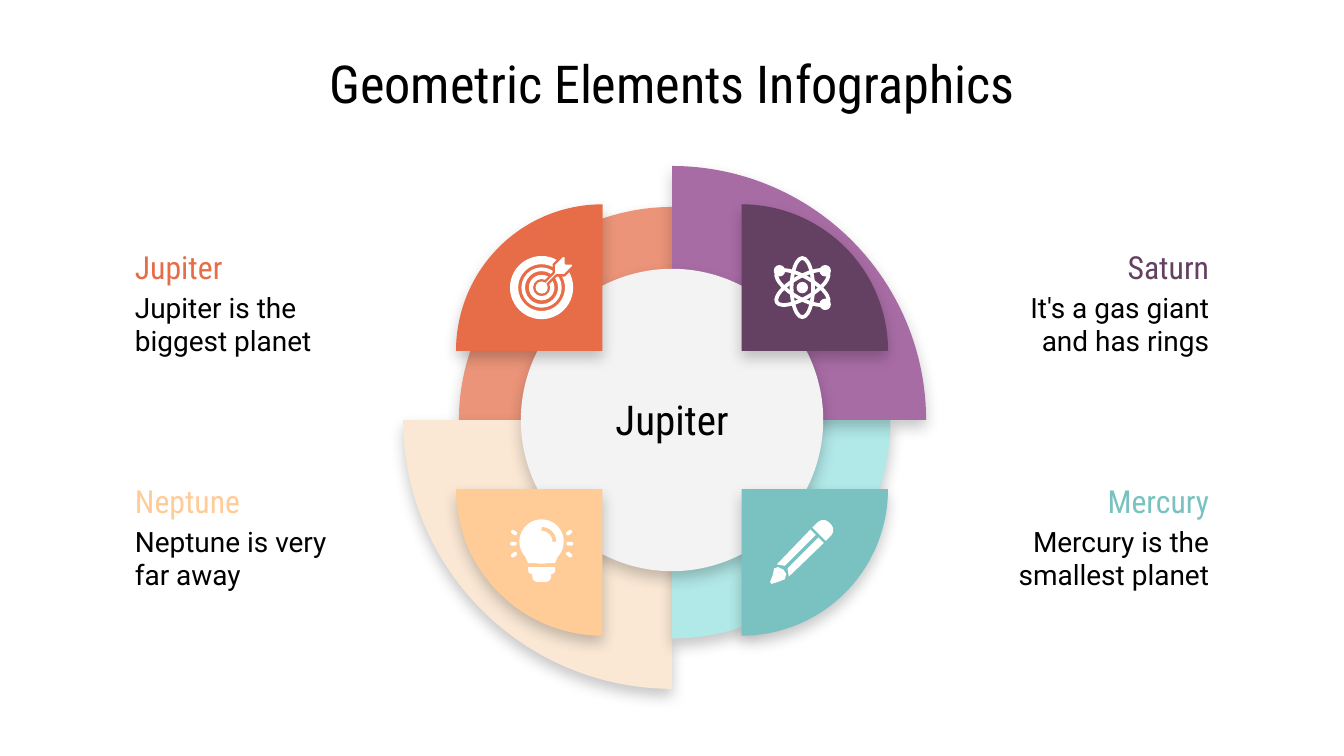
from lxml import etree
from pptx import Presentation
from pptx.dml.color import RGBColor
from pptx.enum.shapes import MSO_SHAPE
from pptx.enum.text import MSO_ANCHOR, MSO_AUTO_SIZE, PP_ALIGN
from pptx.oxml.ns import qn
from pptx.util import Inches, Pt

PIE, OVAL, DONUT = MSO_SHAPE.PIE, MSO_SHAPE.OVAL, MSO_SHAPE.DONUT
ARC, ROUNDED = MSO_SHAPE.ARC, MSO_SHAPE.ROUNDED_RECTANGLE
ROUND_TOP = MSO_SHAPE.ROUND_2_SAME_RECTANGLE
LEFT, CENTER, RIGHT = PP_ALIGN.LEFT, PP_ALIGN.CENTER, PP_ALIGN.RIGHT
TOP, MIDDLE = MSO_ANCHOR.TOP, MSO_ANCHOR.MIDDLE
NO_AUTOSIZE = MSO_AUTO_SIZE.NONE

COLORS = {
    "ink": "000000", "white": "FFFFFF", "hub": "F3F3F3",
    "orange": "E76D48", "orange_light": "EB9479",
    "plum": "644162", "plum_light": "A86CA5",
    "peach": "FFCC97", "peach_light": "FAE8D5",
    "teal": "79C2C1", "teal_light": "B1E9E8",
}
HEAD_FONT, BODY_FONT = "Roboto Condensed", "Roboto"
COLS, ROWS = 100, 56.25
CX, CY = 50, 31.25


class Deck:
    """Style and current slide, with lengths in cells of a 100-column grid."""

    def __init__(self):
        self.prs = Presentation()
        self.cell = Inches(10) // COLS
        self.prs.slide_width = self.u(COLS)
        self.prs.slide_height = self.u(ROWS)
        self.s = self.prs.slides.add_slide(self.prs.slide_layouts[5])

    def u(self, n):
        return round(n * self.cell)

    def color(self, name):
        return RGBColor.from_string(COLORS[name])

    def paint(self, sp, fill="white", line=None, width=1):
        sp.shadow.inherit = False
        if fill:
            sp.fill.solid()
            sp.fill.fore_color.rgb = self.color(fill)
        else:
            sp.fill.background()
        if line:
            sp.line.color.rgb = self.color(line)
            sp.line.width = Pt(width)
        else:
            sp.line.fill.background()
        return sp

    def shape(self, kind, cx, cy, w, h, fill="white", rot=0, adj=(), **line):
        sp = self.s.shapes.add_shape(
            kind, self.u(cx - w / 2), self.u(cy - h / 2), self.u(w), self.u(h))
        for i, value in enumerate(adj):
            sp.adjustments[i] = value
        sp.rotation = rot
        return self.paint(sp, fill, **line)

    def polygon(self, cx, cy, offsets, **style):
        points = [(self.u(cx + x), self.u(cy + y)) for x, y in offsets]
        builder = self.s.shapes.build_freeform(*points[0])
        builder.add_line_segments(points[1:], close=True)
        return self.paint(builder.convert_to_shape(), **style)

    def shadow(self, sp):
        effects = sp._element.spPr.find(qn("a:effectLst"))
        outer = etree.SubElement(effects, qn("a:outerShdw"), blurRad="100000",
                                 dist="48000", dir="5400000", rotWithShape="0")
        rgb = etree.SubElement(outer, qn("a:srgbClr"), val=COLORS["ink"])
        etree.SubElement(rgb, qn("a:alpha"), val="21000")

    def quadrant(self, cx, cy, size, fill, rot):
        self.shadow(self.shape(PIE, cx, cy, size, size, fill, rot, (108, 162)))

    def fill_text(self, sp, text, size, font, color, align, anchor):
        tf = sp.text_frame
        tf.word_wrap = True
        tf.auto_size = NO_AUTOSIZE
        tf.vertical_anchor = anchor
        tf.margin_left = tf.margin_right = self.u(1)
        tf.margin_top = tf.margin_bottom = self.u(1)
        p = tf.paragraphs[0]
        p.text = text
        p.alignment = align
        p.font.size = Pt(size)
        p.font.name = font
        p.font.color.rgb = self.color(color)

    def title(self, text, x, y, w, h):
        sp = self.s.shapes.title
        sp.left, sp.top, sp.width, sp.height = map(self.u, (x, y, w, h))
        self.fill_text(sp, text, 28, HEAD_FONT, "ink", CENTER, TOP)

    def text(self, text, x, y, w, h, size, font, color="ink", align=LEFT):
        sp = self.s.shapes.add_textbox(*map(self.u, (x, y, w, h)))
        self.fill_text(sp, text, size, font, color, align, MIDDLE)

    def target(self, cx, cy):
        for size, ring in ((4.7, 0.13), (3, 0.09), (1.9, 0.16)):
            self.shape(DONUT, cx, cy, size, size, adj=(ring,))
        arrow = ((1.6, -2.4), (0.9, -1.7), (0.9, -1.1), (0.1, -0.3), (0.3, -0.1),
                 (1.1, -0.9), (1.7, -0.9), (2.4, -1.6), (2.3, -1.8), (1.8, -1.8),
                 (1.8, -2.3))
        self.polygon(cx, cy, arrow, line="orange", width=1.25)
        self.shape(OVAL, cx, cy, 0.9, 0.9)

    def bulb(self, cx, cy):
        self.shape(OVAL, cx, cy, 3.3, 3.3)
        self.polygon(cx, cy, ((-1.2, 1.1), (1.2, 1.1), (1, 1.6), (-1, 1.6)))
        self.shape(ROUND_TOP, cx, cy + 2.15, 2, 0.5, rot=180, adj=(0.5,))
        self.shape(ROUND_TOP, cx, cy + 2.6, 1.4, 0.8, rot=180, adj=(0.5,))
        self.shape(ARC, cx, cy, 1.9, 1.9, None, line="peach", width=2)
        for side in (-1, 1):
            for step in (-1, 0, 1):
                self.shape(ROUNDED, cx + side * (2.1 - 0.05 * abs(step)),
                           cy + 0.15 + 0.82 * step, 0.5, 0.28,
                           rot=side * step * 35, adj=(0.5,))

    def pencil(self, cx, cy):
        self.shape(ROUND_TOP, cx + 1.65, cy - 1.75, 1.4, 1.15, rot=45, adj=(0.5, 0))
        parts = (
            ((0.6, -1.7), (-1.9, 0.9), (-1.3, 1), (1, -1.3)),
            ((1.2, -1.1), (-1.1, 1.2), (-1, 1.8), (1.6, -0.7)),
            ((-1.8, 1.1), (-2.1, 1.2), (-2.2, 1.7), (-2.4, 2.2), (-2.3, 2.35),
             (-1.8, 2.2), (-1.3, 2), (-1.2, 1.6), (-1.4, 1.3)),
        )
        for part in parts:
            self.polygon(cx, cy, part)

    def atom(self, cx, cy):
        for rot in (0, 60, 120):
            self.shape(OVAL, cx, cy, 1.6, 4.4, None, rot, line="white", width=2)
        for dx, dy in ((-1.7, -1.25), (1.7, -1.25), (1.7, 1.25), (0, 0)):
            self.shape(OVAL, cx + dx, cy + dy, 0.85, 0.85)


def main():
    deck = Deck()
    rings = (("orange_light", 31.7, 0), ("peach_light", 40, 270),
             ("teal_light", 32.5, 180), ("plum_light", 37.8, 90))
    for fill, size, rot in rings:
        deck.quadrant(CX, CY, size, fill, rot)
    deck.title("Geometric Elements Infographics", 3.95, 2.8, 92.1, 6.3)
    deck.shadow(deck.shape(OVAL, CX, CY, 22.5, 22.5, "hub"))

    planets = (
        ("Jupiter", "Jupiter is the biggest planet", "orange", -1, -1, 0, deck.target),
        ("Neptune", "Neptune is very far away", "peach", -1, 1, 270, deck.bulb),
        ("Mercury", "Mercury is the smallest planet", "teal", 1, 1, 180, deck.pencil),
        ("Saturn", "It's a gas giant and has rings", "plum", 1, -1, 90, deck.atom),
    )
    for name, fact, color, dx, dy, rot, icon in planets:
        deck.quadrant(CX + dx * 5.17, CY + dy * 5.15, 21.8, color, rot)
        icon(CX + dx * 9.7, CY + dy * 9.85 - (0.8 if icon == deck.bulb else 0))
        x, align = (9.05, LEFT) if dx < 0 else (74.05, RIGHT)
        top = 18.5 if dy < 0 else 35.9
        deck.text(fact, x, top + 3.2, 16.9, 4.8, 15, BODY_FONT, align=align)
        deck.text(name, x, top, 16.9, 2.7, 17, HEAD_FONT, color, align)
    deck.text("Jupiter", 41.55, 28.45, 16.9, 5.5, 22, HEAD_FONT, align=CENTER)
    deck.prs.save("out.pptx")


if __name__ == "__main__":
    main()
